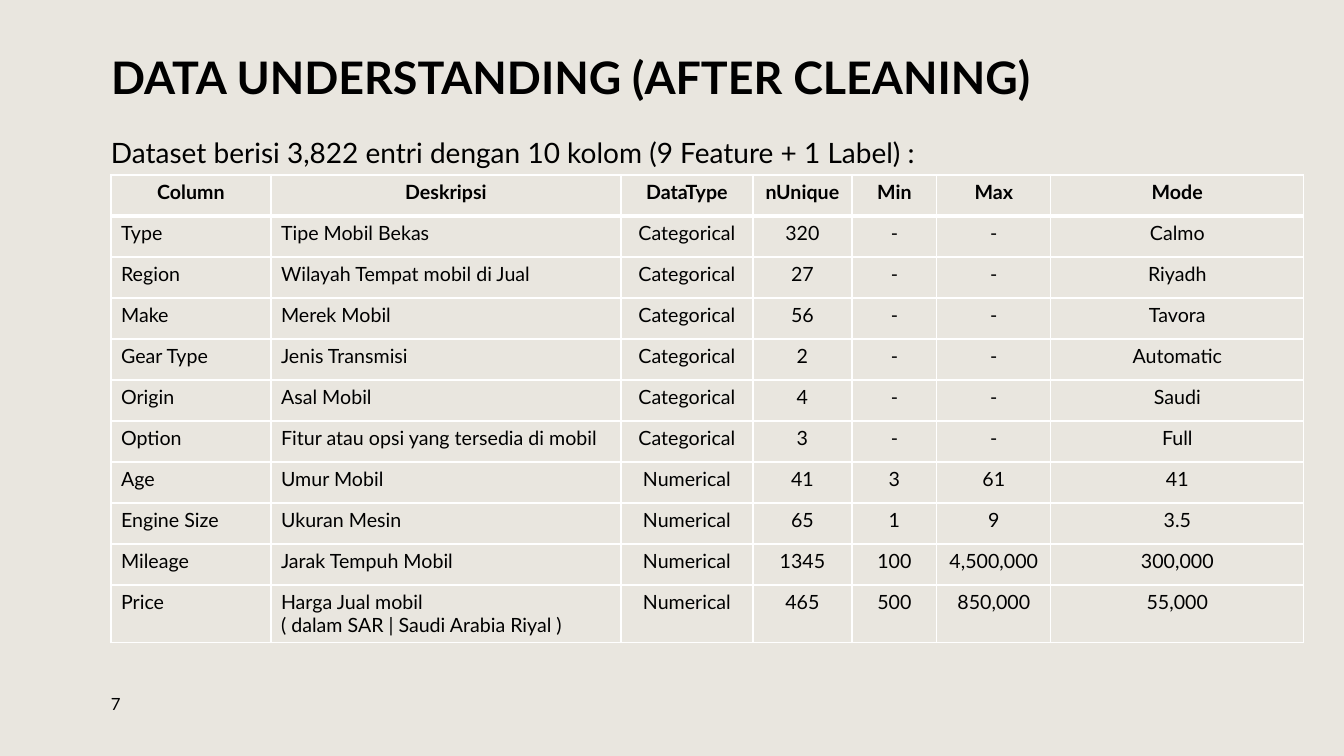
from dataclasses import dataclass

from lxml import etree
from pptx import Presentation
from pptx import util as u
from pptx.dml.color import RGBColor
from pptx.enum import text
from pptx.oxml.ns import qn

PX = 914400 / 100.8


@dataclass(frozen=True)
class Theme:
    font: str = "Lato"
    paper: str = "E9E6DF"
    ink: str = "000000"
    rule: str = "FFFFFF"
    title_size: int = 32
    lead_size: int = 20
    table_size: int = 14
    number_size: int = 12
    thin: int = 1
    thick: int = 3


def px(length):
    return u.Emu(round(length * PX))


class Deck:
    def __init__(self, theme, width, height):
        self.theme = theme
        self.file = Presentation()
        self.file.slide_width = px(width)
        self.file.slide_height = px(height)
        self.slide = None

    def add_slide(self):
        self.slide = self.file.slides.add_slide(self.file.slide_layouts[5])
        fill = self.slide.background.fill
        fill.solid()
        fill.fore_color.rgb = RGBColor.from_string(self.theme.paper)

    def set_words(self, frame, words, size, bold=False, align=text.PP_ALIGN.LEFT):
        frame.word_wrap = True
        frame.text = words
        for paragraph in frame.paragraphs:
            paragraph.alignment = align
            font = paragraph.font
            font.name = self.theme.font
            font.size = u.Pt(size)
            font.bold = bold
            font.color.rgb = RGBColor.from_string(self.theme.ink)

    def title(self, words, left, top, width, height):
        heading = self.slide.shapes.title
        heading.left, heading.top = px(left), px(top)
        heading.width, heading.height = px(width), px(height)
        frame = heading.text_frame
        self.set_words(frame, words, self.theme.title_size, bold=True)
        frame.vertical_anchor = text.MSO_ANCHOR.MIDDLE
        frame.paragraphs[0].line_spacing = 0.9

    def text(self, words, left, top, width, height, size, anchor=text.MSO_ANCHOR.TOP):
        box = self.slide.shapes.add_textbox(px(left), px(top), px(width), px(height))
        self.set_words(box.text_frame, words, size)
        box.text_frame.vertical_anchor = anchor

    def border(self, cell, side, points):
        line = etree.SubElement(
            cell._tc.get_or_add_tcPr(), qn(f"a:ln{side}"), w=str(u.Pt(points))
        )
        fill = etree.SubElement(line, qn("a:solidFill"))
        etree.SubElement(fill, qn("a:srgbClr"), val=self.theme.rule)

    def table(self, rows, left, top, widths, heights, left_columns):
        grid = self.slide.shapes.add_table(
            len(rows), len(widths), px(left), px(top), px(sum(widths)), px(sum(heights))
        ).table
        grid.horz_banding = False
        for column, width in zip(grid.columns, widths):
            column.width = px(width)
        for row, height in zip(grid.rows, heights):
            row.height = px(height)
        thin, thick = self.theme.thin, self.theme.thick
        for r, entries in enumerate(rows):
            for c, words in enumerate(entries):
                cell = grid.cell(r, c)
                header = r == 0
                flush_left = not header and c in left_columns
                align = text.PP_ALIGN.LEFT if flush_left else text.PP_ALIGN.CENTER
                self.set_words(
                    cell.text_frame, words, self.theme.table_size, header, align
                )
                self.border(cell, "L", thin)
                self.border(cell, "R", thin)
                self.border(cell, "T", thick if r == 1 else thin)
                self.border(cell, "B", thick if header else thin)
                cell.fill.background()

    def save(self):
        self.file.save("out.pptx")


HEADER = ("Column", "Deskripsi", "DataType", "nUnique", "Min", "Max", "Mode")
CATEGORICAL = [
    ("Type", "Tipe Mobil Bekas", "320", "Calmo"),
    ("Region", "Wilayah Tempat mobil di Jual", "27", "Riyadh"),
    ("Make", "Merek Mobil", "56", "Tavora"),
    ("Gear Type", "Jenis Transmisi", "2", "Automatic"),
    ("Origin", "Asal Mobil", "4", "Saudi"),
    ("Option", "Fitur atau opsi yang tersedia di mobil", "3", "Full"),
]
NUMERICAL = [
    ("Age", "Umur Mobil", "41", "3", "61", "41"),
    ("Engine Size", "Ukuran Mesin", "65", "1", "9", "3.5"),
    ("Mileage", "Jarak Tempuh Mobil", "1345", "100", "4,500,000", "300,000"),
    (
        "Price",
        "Harga Jual mobil\n( dalam SAR | Saudi Arabia Riyal )",
        "465",
        "500",
        "850,000",
        "55,000",
    ),
]


def main():
    theme = Theme()
    deck = Deck(theme, 1344, 756)
    deck.add_slide()
    deck.title("DATA UNDERSTANDING (AFTER CLEANING)", 101, 40, 1142, 79)
    deck.text(
        "Dataset berisi 3,822 entri dengan 10 kolom (9 Feature + 1 Label) :",
        101, 131, 1203, 44, theme.lead_size,
    )
    features = [
        (name, meaning, "Categorical", unique, "-", "-", mode)
        for name, meaning, unique, mode in CATEGORICAL
    ]
    features += [
        (name, meaning, "Numerical", *figures) for name, meaning, *figures in NUMERICAL
    ]
    deck.table(
        [HEADER, *features],
        left=111,
        top=175,
        widths=[160, 350, 132, 99, 85, 114, 253],
        heights=[41] * len(features) + [57],
        left_columns=(0, 1),
    )
    deck.text("7", 101, 688, 70, 32, theme.number_size, text.MSO_ANCHOR.MIDDLE)
    deck.save()


if __name__ == "__main__":
    main()
